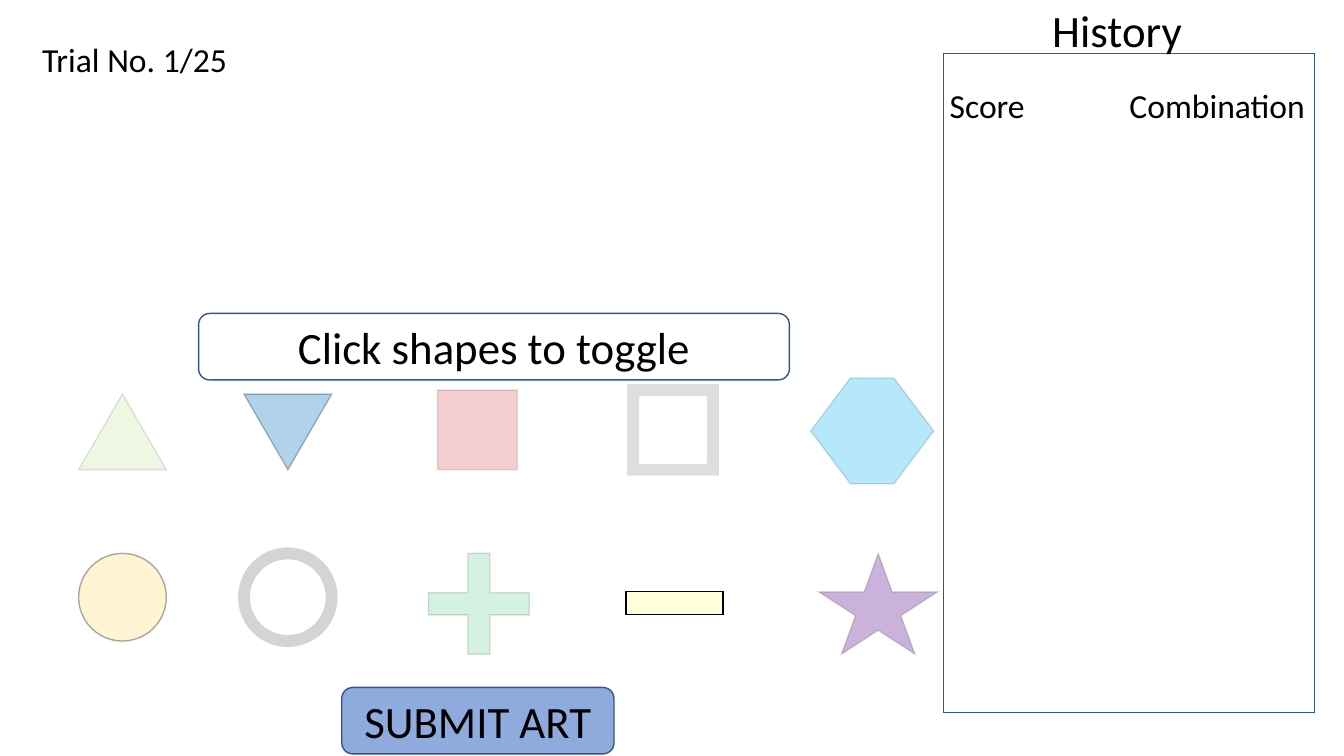
from dataclasses import dataclass

from lxml import etree
from pptx import Presentation
from pptx import util as u
from pptx.dml.color import RGBColor
from pptx.enum import shapes, text
from pptx.oxml import ns

SHAPE = shapes.MSO_SHAPE
ALIGN = text.PP_ALIGN
ANCHOR = text.MSO_ANCHOR


@dataclass(frozen=True)
class Theme:
    font: str = "Calibri"
    ink: str = "000000"
    paper: str = "FFFFFF"
    border: str = "325491"
    button: str = "8FAADC"
    lime: str = "92D050"
    blue: str = "0070C0"
    red: str = "C00000"
    amber: str = "FFC000"
    green: str = "00B050"
    yellow: str = "FFFF00"
    purple: str = "7030A0"
    sky: str = "00B0F0"
    heading: int = 32
    body: int = 24
    thin: float = 1
    thick: float = 8.5


def write(frame, words, *, theme, size, align=ALIGN.LEFT, anchor=ANCHOR.TOP):
    frame.word_wrap = True
    frame.vertical_anchor = anchor
    paragraph = frame.paragraphs[0]
    paragraph.alignment = align
    run = paragraph.add_run()
    run.text = words
    run.font.name = theme.font
    run.font.size = u.Pt(size)
    run.font.color.rgb = RGBColor.from_string(theme.ink)


def paint(fill, color, opacity=100):
    """Solid colour with opacity in percent; no colour means no fill."""
    if color is None:
        fill.background()
        return
    fill.solid()
    fill.fore_color.rgb = RGBColor.from_string(color)
    if opacity < 100:
        tint = fill._xPr.find(ns.qn("a:solidFill"))[0]
        etree.SubElement(tint, ns.qn("a:alpha"), val=str(opacity * 1000))


class Board:
    def __init__(self, slide, theme):
        self.slide = slide
        self.theme = theme

    def label(self, words, left, top, width, height, **style):
        box = self.slide.shapes.add_textbox(*map(u.Inches, (left, top, width, height)))
        write(box.text_frame, words, theme=self.theme, **style)
        box.text_frame.auto_size = text.MSO_AUTO_SIZE.SHAPE_TO_FIT_TEXT

    def figure(self, kind, left, top, width, height, fill=None, opacity=100,
               line=None, line_opacity=100, weight=None, rotation=0, adjust=None):
        figure = self.slide.shapes.add_shape(
            kind, *map(u.Inches, (left, top, width, height)))
        figure.shadow.inherit = False
        figure.rotation = rotation
        if adjust is not None:
            figure.adjustments[0] = adjust
        paint(figure.fill, fill, opacity)
        figure.line.width = u.Pt(weight or self.theme.thin)
        paint(figure.line.fill, line or self.theme.ink, line_opacity)
        # Sharp corners on every outline
        etree.SubElement(figure.line._ln, ns.qn("a:miter"), lim="800000")
        return figure

    def button(self, words, left, top, width, height, fill):
        button = self.figure(SHAPE.ROUNDED_RECTANGLE, left, top, width, height,
                             fill=fill, line=self.theme.border)
        write(button.text_frame, words, theme=self.theme, size=self.theme.heading,
              align=ALIGN.CENTER, anchor=ANCHOR.MIDDLE)


theme = Theme()
deck = Presentation()
deck.slide_width, deck.slide_height = u.Inches(13.33), u.Inches(7.5)
board = Board(deck.slides.add_slide(deck.slide_layouts[6]), theme)

# History panel
board.figure(SHAPE.RECTANGLE, 9.36, 0.53, 3.68, 6.54, line=theme.border)
board.label("History", 9.71, -0.02, 2.74, 0.64, size=theme.heading, align=ALIGN.CENTER)
board.label("Score", 9.32, 0.79, 1.15, 0.5, size=theme.body)
board.label("Combination", 11.08, 0.79, 1.96, 0.5, size=theme.body, align=ALIGN.RIGHT)

# Buttons and trial counter
board.button("SUBMIT ART", 3.39, 6.82, 2.7, 0.66, theme.button)
board.button("Click shapes to toggle", 1.97, 3.11, 5.86, 0.66, theme.paper)
board.label("Trial No. 1/25", 0.32, 0.34, 2.61, 0.5, size=theme.body)

# Toggle shapes: kind, left, top, width, height, fill, opacity, line opacity, extras
first_column, second_column = 0.78, 2.42
triangle_top, square_top, lower_top = 3.91, 3.87, 5.49
toggles = [
    (SHAPE.ISOSCELES_TRIANGLE, first_column, triangle_top, 0.87, 0.75,
     theme.lime, 16, 11, {}),
    (SHAPE.ISOSCELES_TRIANGLE, second_column, triangle_top, 0.87, 0.75,
     theme.blue, 31, 26, {"rotation": 180}),
    (SHAPE.RECTANGLE, 4.34, square_top, 0.79, 0.79, theme.red, 19, 13, {}),
    (SHAPE.RECTANGLE, 6.28, square_top, 0.79, 0.79,
     None, 100, 13, {"weight": theme.thick}),
    (SHAPE.OVAL, first_column, lower_top, 0.87, 0.87, theme.amber, 17, 32, {}),
    (SHAPE.OVAL, second_column, lower_top, 0.87, 0.87,
     None, 100, 17, {"weight": theme.thick}),
    (SHAPE.CROSS, 4.25, lower_top, 1, 1, theme.green, 17, 13, {"adjust": 0.39}),
    (SHAPE.RECTANGLE, 6.21, 5.87, 0.96, 0.23, theme.yellow, 14, 100, {}),
    (SHAPE.STAR_5_POINT, 8.12, lower_top, 1.18, 1, theme.purple, 37, 13, {}),
    (SHAPE.HEXAGON, 8.04, 3.75, 1.22, 1.05, theme.sky, 29, 13, {"adjust": 0.375}),
]
for kind, left, top, width, height, fill, opacity, line_opacity, extras in toggles:
    board.figure(kind, left, top, width, height, fill=fill, opacity=opacity,
                 line_opacity=line_opacity, **extras)

deck.save("out.pptx")
